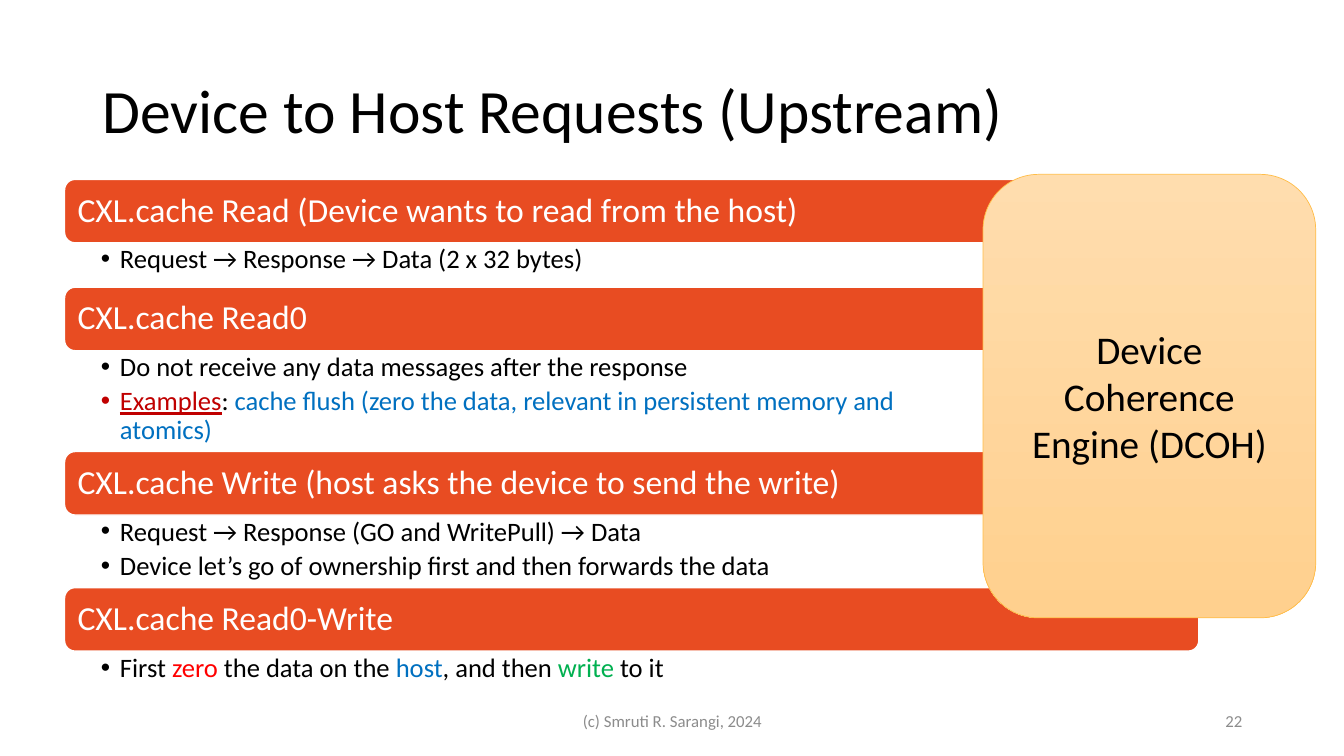
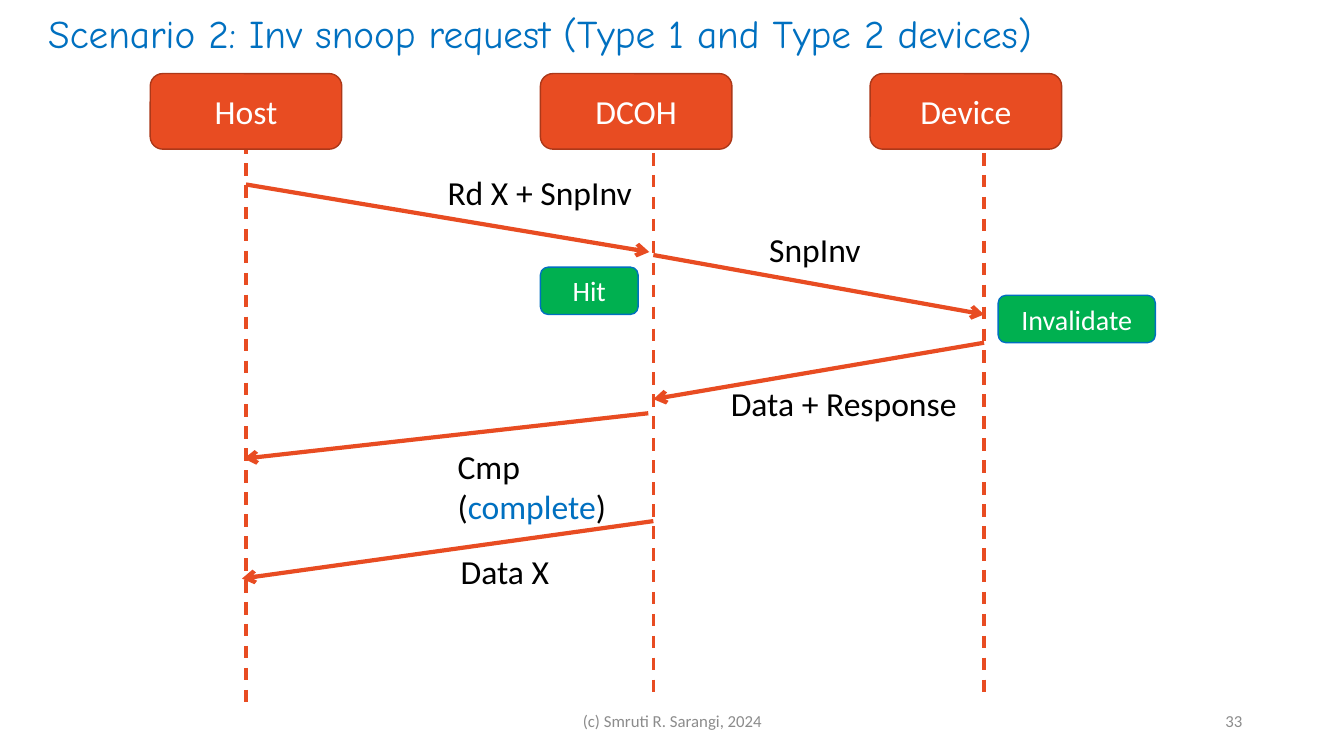
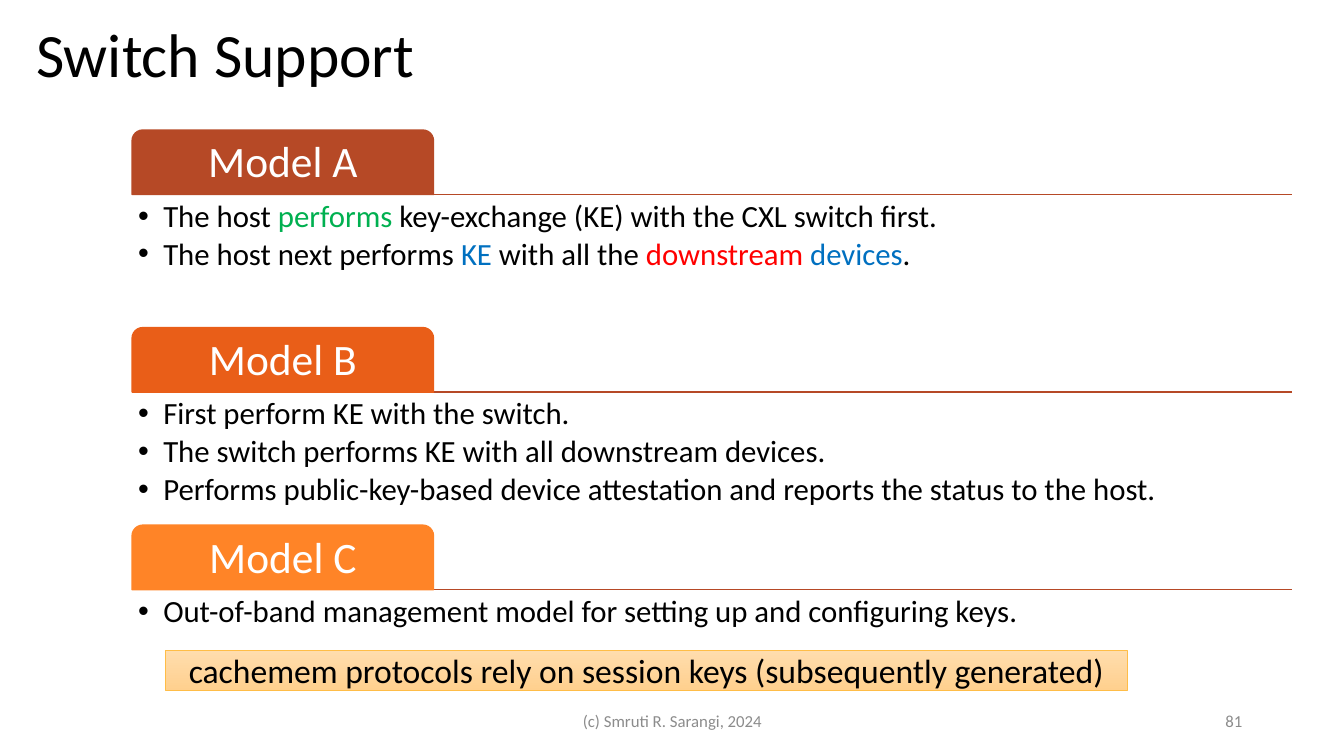
"""Build three slides on CXL cache requests, snoop messages and switch support."""
from pptx import Presentation
from pptx.dml.color import RGBColor
from pptx.enum.dml import MSO_LINE
from pptx.enum.shapes import MSO_CONNECTOR, MSO_SHAPE
from pptx.enum.text import MSO_ANCHOR, PP_ALIGN
from pptx.oxml.ns import qn
from pptx.util import Inches, Pt

STRAIGHT = MSO_CONNECTOR.STRAIGHT
DASH = MSO_LINE.DASH
RECTANGLE = MSO_SHAPE.RECTANGLE
ROUNDED = MSO_SHAPE.ROUNDED_RECTANGLE
TAB = MSO_SHAPE.ROUND_2_SAME_RECTANGLE
TOP, MIDDLE = MSO_ANCHOR.TOP, MSO_ANCHOR.MIDDLE
LEFT, CENTER, RIGHT = PP_ALIGN.LEFT, PP_ALIGN.CENTER, PP_ALIGN.RIGHT

BLACK = RGBColor(0x00, 0x00, 0x00)
WHITE = RGBColor(0xFF, 0xFF, 0xFF)
GRAY = RGBColor(0x8C, 0x8C, 0x8C)
ORANGE = RGBColor(0xE8, 0x4C, 0x22)
DARK_ORANGE = RGBColor(0xAC, 0x38, 0x19)
RUST = RGBColor(0xB6, 0x49, 0x26)
TANGERINE = RGBColor(0xE9, 0x5E, 0x18)
AMBER = RGBColor(0xFF, 0x84, 0x27)
GOLD = RGBColor(0xFF, 0xBD, 0x47)
PEACH = (RGBColor(0xFF, 0xDD, 0xAE), RGBColor(0xFF, 0xD0, 0x8E))
BLUE = RGBColor(0x00, 0x70, 0xC0)
GREEN = RGBColor(0x00, 0xB0, 0x50)
RED = RGBColor(0xFF, 0x00, 0x00)
DARK_RED = RGBColor(0xC0, 0x00, 0x00)

BODY_FONT = "Calibri"
DEFAULT_MARGINS = (0.1, 0.05, 0.1, 0.05)


def add_block(slide, box, paragraphs, size, color=BLACK, font=BODY_FONT, preset=None,
              fill=None, outline=None, outline_width=1, align=LEFT, anchor=MIDDLE,
              margins=DEFAULT_MARGINS, wrap=True, spacing=None, after=0, indent=0):
    """Add a text box or preset shape; a paragraph is a string or a list of runs."""
    lengths = [Inches(value) for value in box]
    if preset is None:
        shape = slide.shapes.add_textbox(*lengths)
    else:
        shape = slide.shapes.add_shape(preset, *lengths)
        shape.shadow.inherit = False
        if fill is PEACH:
            shape.fill.gradient()
            shape.fill.gradient_angle = 270
            for stop, (position, shade) in zip(shape.fill.gradient_stops, enumerate(PEACH)):
                stop.position = position
                stop.color.rgb = shade
        else:
            shape.fill.solid()
            shape.fill.fore_color.rgb = fill
        shape.line.color.rgb = outline
        shape.line.width = Pt(outline_width)

    frame = shape.text_frame
    frame.word_wrap = wrap
    frame.vertical_anchor = anchor
    frame.margin_left, frame.margin_top, frame.margin_right, frame.margin_bottom = [
        Inches(value) for value in margins]
    for index, content in enumerate(paragraphs):
        paragraph = frame.paragraphs[0] if index == 0 else frame.add_paragraph()
        runs = [(content, color)] if isinstance(content, str) else content
        if indent:
            properties = paragraph._p.get_or_add_pPr()
            properties.set("marL", str(Inches(indent)))
            properties.set("indent", str(-Inches(indent)))
            bullet_color = properties.makeelement(qn("a:buClr"), {})
            bullet_color.append(
                properties.makeelement(qn("a:srgbClr"), {"val": str(runs[0][1])}))
            properties.append(bullet_color)
            properties.append(properties.makeelement(qn("a:buFont"), {"typeface": "Arial"}))
            properties.append(properties.makeelement(qn("a:buChar"), {"char": "•"}))
        paragraph.alignment = align
        paragraph.space_after = Pt(after)
        if spacing:
            paragraph.line_spacing = spacing
        paragraph.font.name = font
        paragraph.font.size = Pt(size)
        paragraph.font.color.rgb = color
        for text, run_color, *underline in runs:
            if text == "\n":
                paragraph.add_line_break()
                continue
            run = paragraph.add_run()
            run.text = text
            if run_color != color:
                run.font.color.rgb = run_color
            if underline:
                run.font.underline = True


def add_line(slide, start, end, color, width, dash=None, arrow=False):
    """Add a straight line, dashed or with an arrowhead at its end if asked."""
    line = slide.shapes.add_connector(STRAIGHT, *[Inches(value) for value in start + end])
    line.line.color.rgb = color
    line.line.width = Pt(width)
    if dash:
        line.line.dash_style = dash
    properties = line.element.spPr
    if arrow:
        outline = properties.find(qn("a:ln"))
        outline.append(outline.makeelement(qn("a:tailEnd"), {"type": "arrow"}))
    properties.append(properties.makeelement(qn("a:effectLst"), {}))


presentation = Presentation()
presentation.slide_width = Inches(13.33)
presentation.slide_height = Inches(7.5)

TITLE_STYLE = {"size": 44, "spacing": 0.9}
SCENARIO_STYLE = {"size": 28, "color": BLUE, "font": "Comic Neue", "anchor": TOP, "wrap": False}
slides = []
for title, box, style, number in [
    ("Device to Host Requests (Upstream)", (0.92, 0.4, 11.5, 1.45), TITLE_STYLE, "22"),
    ("Scenario 2: Inv snoop request (Type 1 and Type 2 devices)",
     (0.38, 0.04, 10.87, 0.57), SCENARIO_STYLE, "33"),
    ("Switch Support", (0.26, 0, 11.5, 1.14), TITLE_STYLE, "81"),
]:
    slide = presentation.slides.add_slide(presentation.slide_layouts[6])
    add_block(slide, box, [title], **style)
    add_block(slide, (4.42, 6.95, 4.5, 0.4), ["(c) Smruti R. Sarangi, 2024"], 12, GRAY,
              align=CENTER)
    add_block(slide, (9.42, 6.95, 3, 0.4), [number], 12, GRAY, align=RIGHT)
    slides.append(slide)
requests_slide, scenario_slide, switch_slide = slides

BAR_LEFT, BAR_WIDTH, BAR_HEIGHT = 0.64, 11.25, 0.63
for top, detail_height, heading, details in [
    (1.78, 0.43, "CXL.cache Read (Device wants to read from the host)",
     ["Request → Response → Data (2 x 32 bytes)"]),
    (2.85, 1.01, "CXL.cache Read0",
     ["Do not receive any data messages after the response",
      [("Examples", DARK_RED, True), (": ", BLACK),
       ("cache flush (zero the data, relevant in persistent memory and", BLUE),
       ("\n", BLUE), ("atomics)", BLUE)]]),
    (4.48, 0.72, "CXL.cache Write (host asks the device to send the write)",
     ["Request → Response (GO and WritePull) → Data",
      "Device let’s go of ownership first and then forwards the data"]),
    (5.83, 0.43, "CXL.cache Read0-Write",
     [[("First ", BLACK), ("zero", RED), (" the data on the ", BLACK), ("host", BLUE),
       (", and then ", BLACK), ("write", GREEN), (" to it", BLACK)]]),
]:
    add_block(requests_slide, (BAR_LEFT, top, BAR_WIDTH, BAR_HEIGHT), [heading], 24, WHITE,
              preset=ROUNDED, fill=ORANGE, outline=WHITE, spacing=0.9)
    add_block(requests_slide, (BAR_LEFT, top + BAR_HEIGHT, BAR_WIDTH, detail_height), details,
              19, anchor=TOP, margins=(0.36, 0.03, 0.19, 0.03), spacing=0.9, after=3.8,
              indent=0.19)
add_block(requests_slide, (9.75, 1.73, 3.3, 4.4), ["Device Coherence Engine (DCOH)"], 28,
          preset=ROUNDED, fill=PEACH, outline=GOLD, outline_width=0.5, align=CENTER)

for name, left, lifeline, start in [
    ("Host", 1.49, 2.44, 1.4),
    ("DCOH", 5.36, 6.48, 1.3),
    ("Device", 8.63, 9.76, 1.3),
]:
    add_line(scenario_slide, (lifeline, start), (lifeline, start + 5.58), ORANGE, 2.25, DASH)
    add_block(scenario_slide, (left, 0.73, 1.9, 0.75), [name], 24, WHITE, preset=ROUNDED,
              fill=ORANGE, outline=DARK_ORANGE, align=CENTER)

for start, end, label, box, wrap in [
    ((2.44, 1.83), (6.44, 2.5), "Rd X + SnpInv", (4.34, 1.66, 2.05, 0.5), False),
    ((6.48, 2.53), (9.76, 3.12), "SnpInv", (7.53, 2.22, 1.12, 0.5), False),
    ((9.76, 3.4), (6.48, 3.96), "Data + Response", (7.15, 3.75, 2.46, 0.5), False),
    ((6.43, 4.1), (2.42, 4.55), [("Cmp (", BLACK), ("complete", BLUE), (")", BLACK)],
     (4.44, 4.37, 2.04, 0.91), True),
    ((6.48, 5.17), (2.4, 5.74), "Data X", (4.47, 5.42, 1.09, 0.5), False),
]:
    add_line(scenario_slide, start, end, ORANGE, 3, arrow=True)
    add_block(scenario_slide, box, [label], 24, anchor=TOP, wrap=wrap)

for event, box in [("Hit", (5.36, 2.65, 0.97, 0.47)), ("Invalidate", (9.9, 2.93, 1.56, 0.47))]:
    add_block(scenario_slide, box, [event], 20, WHITE, preset=ROUNDED, fill=GREEN,
              outline=BLUE, align=CENTER)

MODEL_LEFT, MODEL_WIDTH, MODEL_TOP, MODEL_PITCH = 1.31, 11.5, 1.29, 1.96
TAB_WIDTH, TAB_HEIGHT = 2.99, 0.64
MODEL_MARGINS = (0.06, 0.06, 0.06, 0.06)
for index, (model, color, details) in enumerate([
    ("Model A", RUST,
     [[("The host ", BLACK), ("performs", GREEN),
       (" key-exchange (KE) with the CXL switch first.", BLACK)],
      [("The host next performs ", BLACK), ("KE", BLUE), (" with all the ", BLACK),
       ("downstream ", RED), ("devices", BLUE), (".", BLACK)]]),
    ("Model B", TANGERINE,
     ["First perform KE with the switch.",
      "The switch performs KE with all downstream devices.",
      "Performs public-key-based device attestation and reports the status to the host."]),
    ("Model C", AMBER,
     ["Out-of-band management model for setting up and configuring keys."]),
]):
    top = MODEL_TOP + index * MODEL_PITCH
    rule = top + TAB_HEIGHT
    add_line(switch_slide, (MODEL_LEFT, rule), (MODEL_LEFT + MODEL_WIDTH, rule), RUST, 1)
    add_block(switch_slide, (MODEL_LEFT, top, TAB_WIDTH, TAB_HEIGHT), [model], 31, WHITE,
              preset=TAB, fill=color, outline=color, align=CENTER, margins=MODEL_MARGINS,
              spacing=0.9)
    add_block(switch_slide, (MODEL_LEFT, rule, MODEL_WIDTH, 1.29), details, 22, anchor=TOP,
              margins=MODEL_MARGINS, spacing=0.9, after=3.3, indent=0.25)
add_block(switch_slide, (1.64, 6.45, 9.54, 0.4),
          ["cachemem protocols rely on session keys (subsequently generated)"], 24,
          preset=RECTANGLE, fill=PEACH, outline=GOLD, outline_width=0.5, align=CENTER)

presentation.save("out.pptx")
